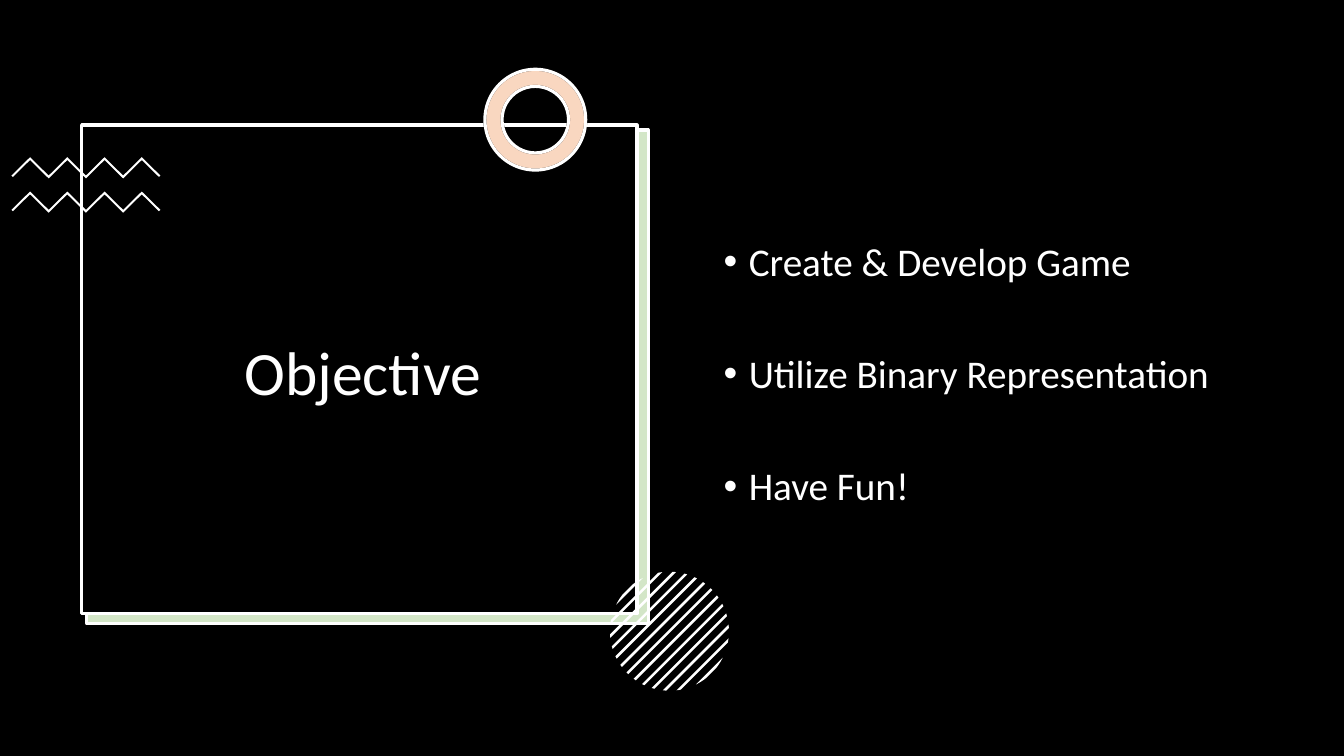
import math
from dataclasses import dataclass

import lxml.etree
import pptx
import pptx.dml.color
import pptx.enum.shapes
import pptx.enum.text
import pptx.oxml.ns
import pptx.util

Pt = pptx.util.Pt
SHAPE = pptx.enum.shapes.MSO_SHAPE
ALIGN = pptx.enum.text.PP_ALIGN
ANCHOR = pptx.enum.text.MSO_ANCHOR


@dataclass(frozen=True)
class Theme:
    black: str = "000000"
    white: str = "FFFFFF"
    green: str = "70AD47"
    orange: str = "ED7D31"
    font: str = "Calibri"
    title_size: float = 44
    body_size: float = 28
    border: float = 2.25
    tint: int = 30


def rgb(color):
    return pptx.dml.color.RGBColor.from_string(color)


def sub(parent, tag, **attrs):
    return lxml.etree.SubElement(parent, pptx.oxml.ns.qn(tag), **attrs)


def write_text(p, text, *, font, size, color, align=ALIGN.LEFT, before=0, bullet=None, indent=18):
    p.alignment = align
    p.line_spacing = 0.9
    p.space_before = Pt(before)
    r = p.add_run()
    r.text = text
    r.font.name = font
    r.font.size = Pt(size)
    r.font.color.rgb = rgb(color)
    if bullet:
        pPr = p._p.get_or_add_pPr()
        pPr.set("marL", str(Pt(indent)))
        pPr.set("indent", str(-Pt(indent)))
        sub(pPr, "a:buFont", typeface="Arial")
        sub(pPr, "a:buChar", char=bullet)


class Canvas:
    def __init__(self, slide, theme):
        self.slide = slide
        self.theme = theme

    def paint(self, sp, fill, line=None, alpha=None):
        sp.shadow.inherit = False
        sp.fill.solid()
        sp.fill.fore_color.rgb = rgb(fill)
        if alpha:
            clr = sp._element.spPr.find(".//" + pptx.oxml.ns.qn("a:srgbClr"))
            sub(clr, "a:alpha", val=str(alpha * 1000))
        if line:
            sp.line.color.rgb = rgb(line)
            sp.line.width = Pt(self.theme.border)
        else:
            sp.line.fill.background()
        return sp

    def shape(self, kind, box, fill, **style):
        sp = self.slide.shapes.add_shape(kind, *map(Pt, box))
        return self.paint(sp, fill, **style)

    def ring(self, box, fill, **style):
        sp = self.shape(SHAPE.DONUT, box, fill, **style)
        sp.adjustments[0] = 0.17

    def polygon(self, points, fill):
        points = [(Pt(x), Pt(y)) for x, y in points]
        fb = self.slide.shapes.build_freeform(*points[0], scale=1.0)
        fb.add_line_segments(points[1:], close=True)
        return self.paint(fb.convert_to_shape(), fill)

    def zigzag(self, left, top, step=13.3, rise=13.1, thick=2, strokes=8):
        upper = [(left + i * step, top + (0 if i % 2 else rise)) for i in range(strokes + 1)]
        lower = [(x, y + thick) for x, y in upper[1:-1]]
        start = (left + thick / 2, top + rise + thick / 2)
        end = (left + strokes * step - thick / 2, start[1])
        self.polygon(upper + [end] + lower[::-1] + [start], self.theme.white)

    def striped_disc(self, cx, cy, radius, pitch=6.87, thick=1.85, stripes=13, samples=6):
        for i in range(stripes):
            # u runs across the stripes, v along them
            middle = (i - stripes // 2) * pitch
            us = [middle + thick * (j / samples - 0.5) for j in range(samples + 1)]
            rim = [(u, math.sqrt(radius ** 2 - u ** 2)) for u in us]
            outline = rim + [(u, -v) for u, v in reversed(rim)]
            h = math.sqrt(0.5)
            self.polygon([(cx + (u + v) * h, cy + (u - v) * h) for u, v in outline],
                         self.theme.white)

    def text(self, box, lines, *, size, anchor=ANCHOR.TOP, gap=0, **style):
        tf = self.slide.shapes.add_textbox(*map(Pt, box)).text_frame
        tf.word_wrap = True
        tf.vertical_anchor = anchor
        for i, line in enumerate(lines):
            p = tf.add_paragraph() if i else tf.paragraphs[0]
            write_text(p, line, font=self.theme.font, size=size, color=self.theme.white,
                       before=gap if i else 0, **style)


def main():
    prs = pptx.Presentation()
    prs.slide_width, prs.slide_height = Pt(960), Pt(540)
    t = Theme()
    s = Canvas(prs.slides.add_slide(prs.slide_layouts[6]), t)

    # Backdrop
    s.shape(SHAPE.RECTANGLE, (0, 0, 960, 540), t.black)

    # Title frame with its offset green panel
    s.shape(SHAPE.RECTANGLE, (61.2, 93.6, 401, 352.8), t.white)
    s.shape(SHAPE.RECTANGLE, (62, 92.9, 401, 352.8), t.green, line=t.white, alpha=t.tint)
    s.shape(SHAPE.RECTANGLE, (58.3, 89.3, 396.7, 349.2), t.black, line=t.white)

    # Ornaments
    for top in (112.3, 136.8):
        s.zigzag(8.2, top)
    ring_box = (346.4, 49.5, 72, 72)
    s.ring(ring_box, t.white, line=t.black)
    s.ring(ring_box, t.orange, line=t.white, alpha=t.tint)
    s.striped_disc(478.2, 450.9, 42.5)

    # Title and goals
    s.text((66.2, 109.4, 386, 318.2), ["Objective"], size=t.title_size,
           anchor=ANCHOR.MIDDLE, align=ALIGN.CENTER)
    s.text((509.8, 169.5, 391.7, 262.5),
           ["Create & Develop Game", "Utilize Binary Representation", "Have Fun!"],
           size=t.body_size, gap=50, bullet="•")

    prs.save("out.pptx")


if __name__ == "__main__":
    main()
